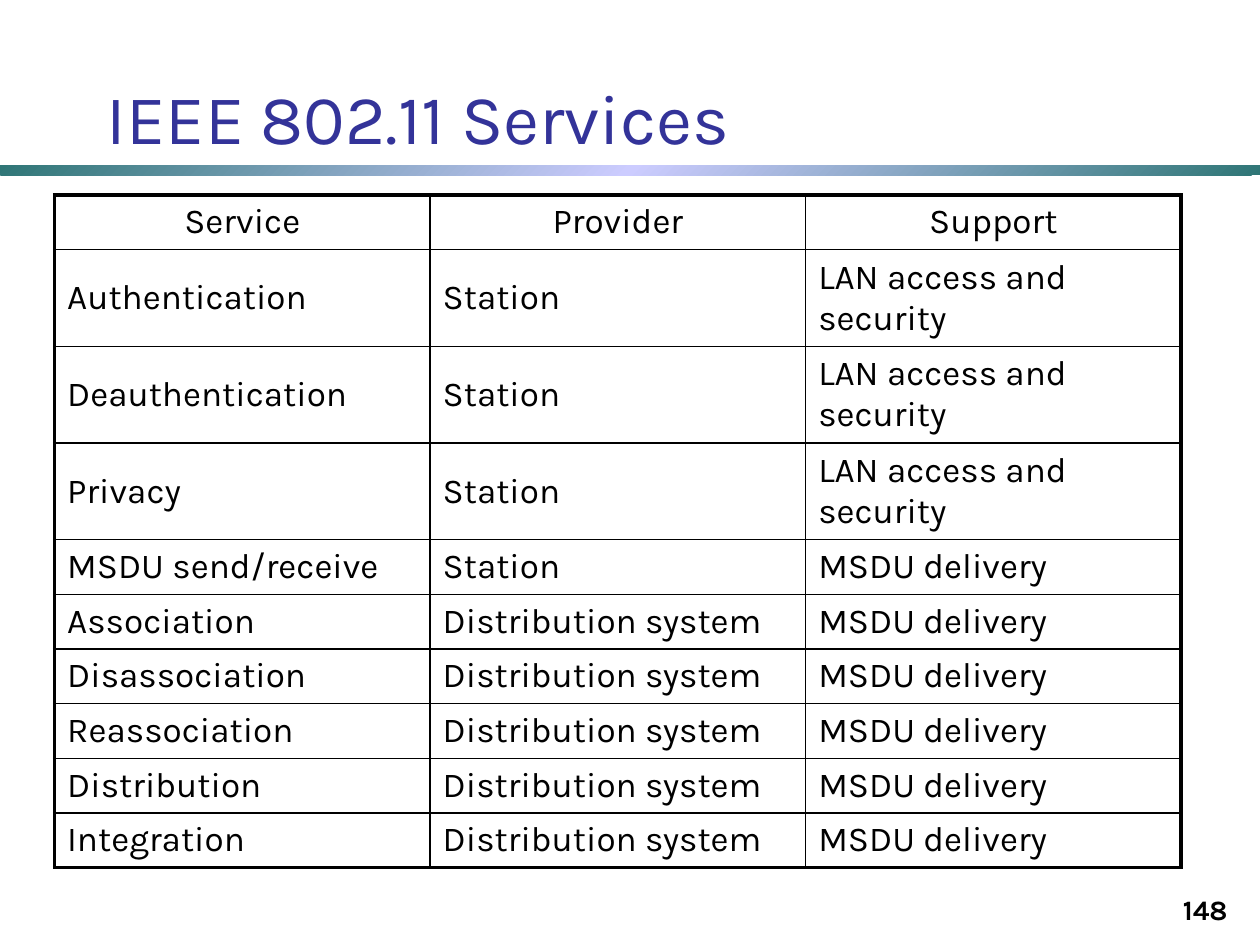
"""Build the IEEE 802.11 Services slide with its table of services."""
from copy import deepcopy
from dataclasses import dataclass

from lxml.etree import SubElement
from pptx import Presentation
from pptx.dml.color import RGBColor
from pptx.enum.shapes import MSO_SHAPE
from pptx.enum.text import MSO_ANCHOR as Anchor, PP_ALIGN as Align
from pptx.oxml.ns import qn
from pptx.util import Pt


@dataclass(frozen=True)
class Theme:
    font: str = "Karla"
    title: str = "333399"
    ink: str = "000000"
    bar_edge: str = "2F7676"
    bar_middle: str = "CCCCFF"
    title_size: int = 40
    table_size: int = 20
    number_size: int = 16
    outer_line: float = 2.25
    inner_line: float = 1


theme = Theme()


def write(frame, text, size, color, align=Align.LEFT, bold=False):
    frame.text = text
    frame.word_wrap = True
    paragraph = frame.paragraphs[0]
    paragraph.alignment = align
    font = paragraph.runs[0].font
    font.name, font.size, font.bold = theme.font, Pt(size), bold
    font.color.rgb = RGBColor.from_string(color)


def add_border(cell, side, width):
    line = SubElement(cell._tc.get_or_add_tcPr(), qn(f"a:ln{side}"), w=str(Pt(width)))
    fill = SubElement(line, qn("a:solidFill"))
    SubElement(fill, qn("a:srgbClr"), val=theme.ink)


presentation = Presentation()
presentation.slide_width, presentation.slide_height = Pt(720), Pt(540)
slide = presentation.slides.add_slide(presentation.slide_layouts[6])

bar = slide.shapes.add_shape(MSO_SHAPE.RECTANGLE, Pt(0), Pt(94.3), Pt(720), Pt(5.8))
bar.shadow.inherit = False
bar.line.fill.background()
bar.fill.gradient()
bar.fill.gradient_angle = 315
first_stop = bar.fill._fill._gradFill.gsLst[0]
first_stop.addnext(deepcopy(first_stop))
bar_colors = (theme.bar_edge, theme.bar_middle, theme.bar_edge)
for stop, color, position in zip(bar.fill.gradient_stops, bar_colors, (0, 0.5, 1)):
    stop.color.rgb = RGBColor.from_string(color)
    stop.position = position

title = slide.shapes.add_textbox(Pt(54), Pt(26), Pt(666), Pt(68.3)).text_frame
write(title, "IEEE 802.11 Services", theme.title_size, theme.title)
title.vertical_anchor = Anchor.BOTTOM

page_number = slide.shapes.add_textbox(Pt(558.5), Pt(497), Pt(150), Pt(36)).text_frame
write(page_number, "148", theme.number_size, theme.ink, Align.RIGHT, bold=True)
page_number.vertical_anchor = Anchor.BOTTOM

STATION, SYSTEM = "Station", "Distribution system"
SECURITY, DELIVERY = "LAN access and security", "MSDU delivery"
services = [
    ("Service", "Provider", "Support"),
    ("Authentication", STATION, SECURITY),
    ("Deauthentication", STATION, SECURITY),
    ("Privacy", STATION, SECURITY),
    ("MSDU send/receive", STATION, DELIVERY),
    ("Association", SYSTEM, DELIVERY),
    ("Disassociation", SYSTEM, DELIVERY),
    ("Reassociation", SYSTEM, DELIVERY),
    ("Distribution", SYSTEM, DELIVERY),
    ("Integration", SYSTEM, DELIVERY),
]
heights = [54.3 if support == SECURITY else 30.85 for _, _, support in services]
last_row, last_column = len(services) - 1, 2
table = slide.shapes.add_table(
    len(services), 3, Pt(31.2), Pt(111.4), Pt(643.8), Pt(sum(heights))
).table
table.first_row = table.horz_banding = False
for column in table.columns:
    column.width = Pt(214.6)

for r, (service, height) in enumerate(zip(services, heights)):
    table.rows[r].height = Pt(height)
    for c, text in enumerate(service):
        cell = table.cell(r, c)
        align = Align.CENTER if r == 0 else Align.LEFT
        write(cell.text_frame, text, theme.table_size, theme.ink, align)
        cell.vertical_anchor = Anchor.MIDDLE
        outer_sides = {"L": c == 0, "R": c == last_column, "T": r == 0, "B": r == last_row}
        for side, is_outer in outer_sides.items():
            add_border(cell, side, theme.outer_line if is_outer else theme.inner_line)
        cell.fill.background()

presentation.save("out.pptx")
